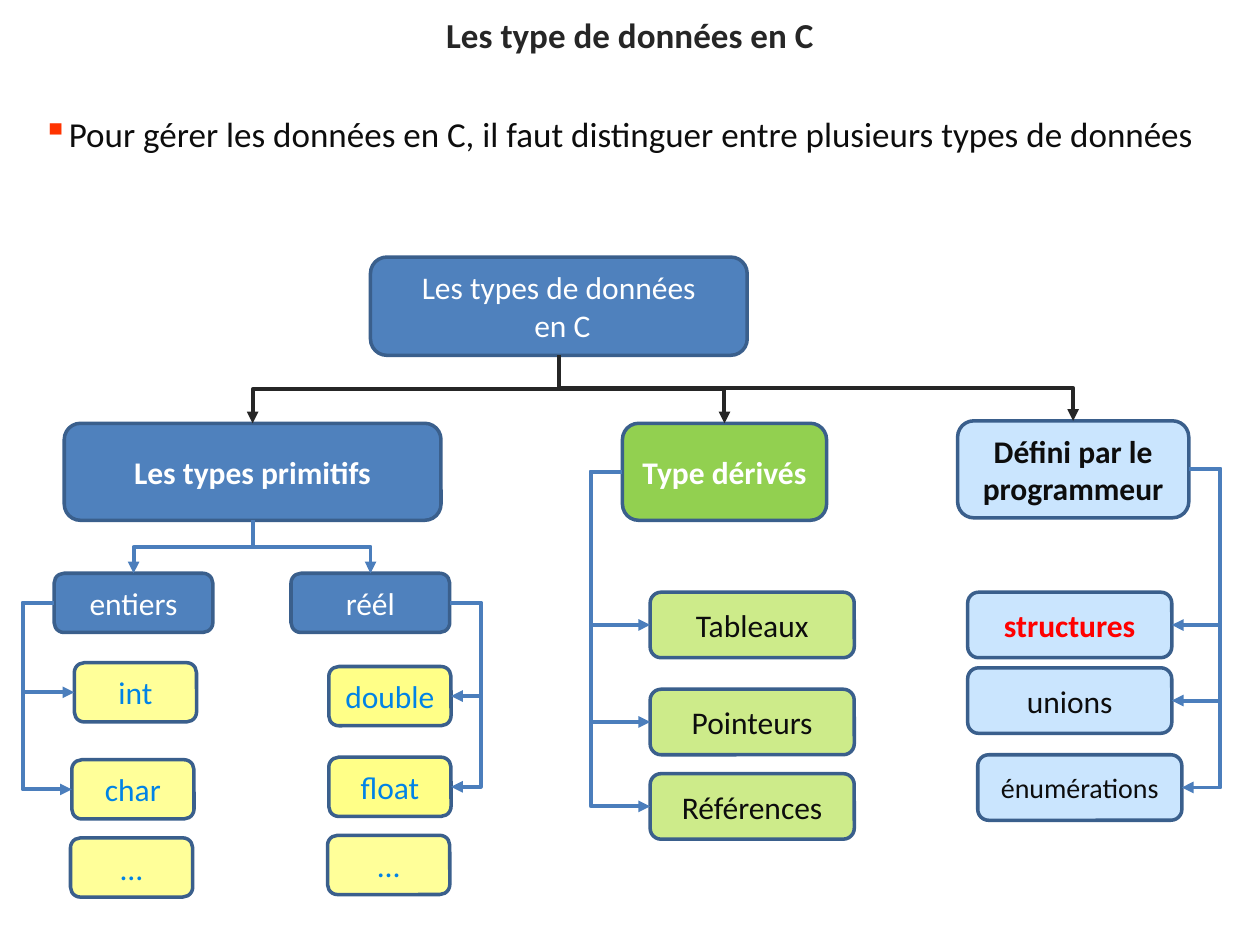
from lxml import etree
from pptx import Presentation
from pptx.dml.color import RGBColor
from pptx.enum.shapes import MSO_CONNECTOR as Link, MSO_SHAPE as Shape
from pptx.enum.text import MSO_ANCHOR as Anchor, PP_ALIGN as Align
from pptx.oxml import parse_xml
from pptx.oxml.ns import nsdecls, qn
from pptx.util import Inches, Pt

FONT = "Calibri"
WHITE = RGBColor(0xFF, 0xFF, 0xFF)
INK = RGBColor(0x0D, 0x0D, 0x0D)
DARK = RGBColor(0x26, 0x26, 0x26)
BLUE = RGBColor(0x4F, 0x81, 0xBD)
BORDER = RGBColor(0x3A, 0x5F, 0x8C)
LINK = RGBColor(0x4B, 0x7E, 0xBC)
SKY = RGBColor(0x00, 0x83, 0xE6)
YELLOW = RGBColor(0xFF, 0xFF, 0x99)
LEMON = RGBColor(0xFF, 0xFF, 0x87)
GREEN = RGBColor(0x92, 0xD0, 0x50)
LIME = RGBColor(0xCD, 0xEB, 0x8A)
PALE = RGBColor(0xCA, 0xE5, 0xFE)
RED = RGBColor(0xFF, 0x00, 0x00)

TOP, LEFT, BOTTOM, RIGHT = range(4)  # connection sites of a rounded rectangle
RAIL = 2.5  # gap between a parent and its vertical rail, in columns

prs = Presentation()
prs.slide_width, prs.slide_height = Inches(10), Inches(7.5)
COL, ROW = prs.slide_width / 100, prs.slide_height / 75
slide = prs.slides.add_slide(prs.slide_layouts[6])


def area(box, x, y, w, h):
    """Turn a grid cell, relative to the corner of box, into EMU."""
    return (round((box[0] + x) * COL), round((box[1] + y) * ROW),
            round(w * COL), round(h * ROW))


def style(p, size, color, bold=False):
    """Set the font of a paragraph."""
    p.font.name, p.font.size, p.font.bold = FONT, Pt(size), bold
    p.font.color.rgb = color


def text_line(box, text, color, bold=False):
    """Add a 20 point line of text filling box and return its paragraph."""
    tf = slide.shapes.add_textbox(*area(box, 0, 0, *box[2:])).text_frame
    tf.word_wrap = True
    p = tf.paragraphs[0]
    p.text = text
    style(p, 20, color, bold)
    return p


def node(box, cell, text, fill, color=INK, bold=False, size=18):
    """Add a labelled rounded rectangle at a cell of box."""
    s = slide.shapes.add_shape(Shape.ROUNDED_RECTANGLE, *area(box, *cell))
    s.shadow.inherit = False
    s.fill.solid()
    s.fill.fore_color.rgb = fill
    s.line.color.rgb, s.line.width = BORDER, Pt(2)
    tf = s.text_frame
    tf.word_wrap, tf.vertical_anchor = True, Anchor.MIDDLE
    p = tf.paragraphs[0]
    p.text, p.alignment = text, Align.CENTER
    style(p, size, color, bold)
    return s


def elbow(parent, start, child, end, color):
    """Glue an elbow arrow between two nodes."""
    c = slide.shapes.add_connector(Link.ELBOW, 0, 0, 0, 0)
    c.begin_connect(parent, start)
    c.end_connect(child, end)
    c.line.color.rgb, c.line.width = color, Pt(2.25)
    etree.SubElement(c.line._get_or_add_ln(), qn("a:tailEnd"), type="triangle")
    etree.SubElement(c._element.spPr, qn("a:effectLst"))
    return c


def drop(parent, child, color=LINK):
    """Link a parent's bottom to a child's top, turning halfway down."""
    c = elbow(parent, BOTTOM, child, TOP, color)
    rightward = c.end_x > c.begin_x
    mid_x, mid_y = c.left + c.width // 2, c.top + c.height // 2
    c.width, c.height = c.height, c.width
    c.left, c.top = mid_x - c.width // 2, mid_y - c.height // 2
    xfrm = c._element.spPr.find(qn("a:xfrm"))
    xfrm.set("rot", str((270 if rightward else 90) * 60000))
    xfrm.set("flipH", "1" if rightward else "0")
    xfrm.set("flipV", "0")


def hang(parent, children, side):
    """Link a parent to its children along a rail on one side."""
    for child in children:
        c = elbow(parent, side, child, side, LINK)
        reach = RAIL * COL * (1 if side == RIGHT else -1)
        adj = round(reach / (c.end_x - c.begin_x) * 100000)
        geom = c._element.spPr.find(qn("a:prstGeom"))
        av = geom.find(qn("a:avLst"))
        if av is None:
            av = etree.SubElement(geom, qn("a:avLst"))
        etree.SubElement(av, qn("a:gd"), name="adj1", fmla=f"val {adj}")


def heading(box):
    """Add the centred slide title."""
    text_line(box, "Les type de données en C", DARK, True).alignment = Align.CENTER


def intro(box):
    """Add the bulleted introduction."""
    p = text_line(box, "Pour gérer les données en C, il faut distinguer "
                       "entre plusieurs types de données", INK)
    p.space_after = Pt(6)
    pPr = p._p.get_or_add_pPr()
    pPr.set("marL", "0")
    pPr.set("indent", str(-Inches(0.38)))
    bullet = (f'<a:buClr {nsdecls("a")}><a:srgbClr val="FF3300"/></a:buClr>',
              f'<a:buChar {nsdecls("a")} char="▪"/>')
    at = 1 + list(pPr).index(pPr.find(qn("a:spcAft")))
    for i, xml in enumerate(bullet):
        pPr.insert(at + i, parse_xml(xml))


def primitives(box):
    """Add the primitive types: integers and reals, with their leaves."""
    top = node(box, (3.3, 0, 29.9, 7.7), "Les types primitifs", BLUE, WHITE, True)
    families = (
        ("entiers", 2.5, LEFT, (("int", 4.1, 19, YELLOW), ("char", 3.9, 26.7, YELLOW),
                                ("…", 3.8, 32.9, YELLOW))),
        ("réél", 21.3, RIGHT, (("double", 24.3, 19.3, LEMON), ("float", 24.3, 26.5, LEMON),
                               ("…", 24.2, 32.7, YELLOW))),
    )
    for name, x, side, leaves in families:
        family = node(box, (x, 11.9, 12.6, 4.7), name, BLUE, WHITE)
        drop(top, family)
        kids = [node(box, (lx, ly, 9.7, 4.7), text, fill, SKY)
                for text, lx, ly, fill in leaves]
        hang(family, kids[:-1], side)
    return top


def derived(box):
    """Add the derived types."""
    top = node(box, (2.5, 0, 16.2, 7.7), "Type dérivés", GREEN, WHITE, True)
    kids = [node(box, (4.7, y, 16.2, 5.2), text, LIME) for text, y in
            (("Tableaux", 13.4), ("Pointeurs", 21.1), ("Références", 27.8))]
    hang(top, kids, LEFT)
    return top


def custom(box):
    """Add the types defined by the programmer."""
    top = node(box, (0, 0, 18.35, 7.7), "Défini par le programmeur", PALE, INK, True)
    kids = [node(box, (x, y, 16.2, 5.2), text, PALE, *look) for text, x, y, look in
            (("structures", 0.8, 13.6, (RED, True)), ("unions", 0.8, 19.6, ()),
             ("énumérations", 1.6, 26.5, (INK, False, 16)))]
    hang(top, kids, RIGHT)
    return top


heading((9.8, 0.6, 80.4, 4.4))
intro((2.4, 8.4, 95.3, 4.4))
root = node((29.4, 20.4), (0, 0, 29.9, 7.8), "Les types de données\v en C", BLUE, WHITE)
for branch, corner in ((primitives, (1.8, 33.6)), (derived, (46.9, 33.6)),
                       (custom, (76, 33.4))):
    drop(root, branch(corner), DARK)

prs.save("out.pptx")
